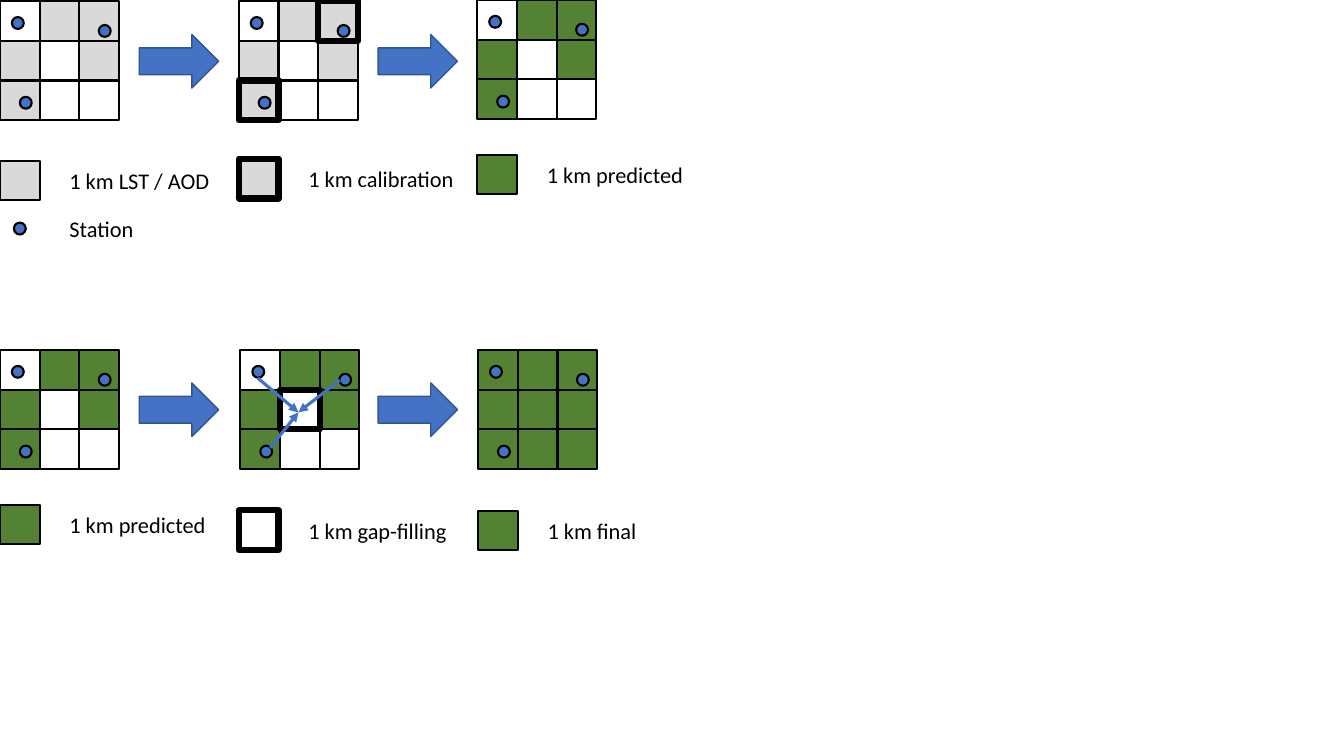
import dataclasses

import lxml.etree
import pptx
import pptx.dml.color
import pptx.enum.shapes
import pptx.enum.text
import pptx.oxml.ns
import pptx.util

Cm, Pt = pptx.util.Cm, pptx.util.Pt
SHAPE = pptx.enum.shapes.MSO_SHAPE


@dataclasses.dataclass(frozen=True)
class Theme:
    font: str = "Calibri"
    label_size: float = 16
    black: str = "000000"
    white: str = "FFFFFF"
    grey: str = "D9D9D9"
    green: str = "548235"
    blue: str = "4472C4"
    dark_blue: str = "325491"
    thin: float = 1.5
    thick: float = 4.5
    link: float = 2.25
    arrow: float = 1


THEME = Theme()

# Cell kinds: fill and border width
CELLS = {
    "W": (THEME.white, THEME.thin),    # no data
    "L": (THEME.grey, THEME.thin),     # LST / AOD
    "C": (THEME.grey, THEME.thick),    # calibration
    "P": (THEME.green, THEME.thin),    # predicted
    "G": (THEME.white, THEME.thick),   # gap-filling
}

# Sizes and offsets in centimetres
CELL = 1.0
STATION = 0.3
STATIONS = [(0.3, 0.4), (2.49, 0.6), (0.5, 2.41)]
LINK_STARTS = [(0.44, 0.71), (2.5, 0.76), (0.75, 2.46)]
LINK_END = (1.46, 1.57)
ARROW_LEFTS = (3.51, 9.53)
ARROW_WIDTH, ARROW_HEIGHT = 2.0, 1.35
LABEL_OFFSET, LABEL_HEIGHT = 1.5, 0.94


def rgb(code):
    return pptx.dml.color.RGBColor.from_string(code)


def add_block(stage, kind, box, fill, border, border_width):
    block = stage.add_shape(kind, *map(Cm, box))
    block.shadow.inherit = False
    block.fill.solid()
    block.fill.fore_color.rgb = rgb(fill)
    block.line.color.rgb = rgb(border)
    block.line.width = Pt(border_width)


def add_cell(stage, left, top, code):
    fill, border_width = CELLS[code]
    add_block(stage, SHAPE.RECTANGLE, (left, top, CELL, CELL), fill, THEME.black, border_width)


def add_station(stage, left, top):
    add_block(stage, SHAPE.OVAL, (left, top, STATION, STATION),
              THEME.blue, THEME.black, THEME.thin)


def add_grid(stage, left, top, pattern):
    """3 x 3 cells, thick-bordered ones above the rest, then the stations."""
    cells = [(code, row, column) for row, codes in enumerate(pattern.split())
             for column, code in enumerate(codes)]
    for code, row, column in sorted(cells, key=lambda cell: CELLS[cell[0]][1]):
        add_cell(stage, left + column * CELL, top + row * CELL, code)
    for dx, dy in STATIONS:
        add_station(stage, left + dx, top + dy)


def add_label(stage, left, middle, width, wording):
    label = stage.add_textbox(Cm(left), Cm(middle - LABEL_HEIGHT / 2),
                              Cm(width), Cm(LABEL_HEIGHT))
    frame = label.text_frame
    frame.text = wording
    frame.word_wrap = False
    frame.auto_size = pptx.enum.text.MSO_AUTO_SIZE.SHAPE_TO_FIT_TEXT
    frame.vertical_anchor = pptx.enum.text.MSO_ANCHOR.MIDDLE
    font = frame.paragraphs[0].runs[0].font
    font.name, font.size = THEME.font, Pt(THEME.label_size)
    font.color.rgb = rgb(THEME.black)


def add_legend(stage, left, top, code, wording, width):
    add_cell(stage, left, top, code)
    add_label(stage, left + LABEL_OFFSET, top + CELL / 2, width, wording)


def add_station_legend(stage, left, top):
    inset = (CELL - STATION) / 2
    add_station(stage, left + inset, top + inset)
    add_label(stage, left + LABEL_OFFSET, top + CELL / 2, 2.16, "Station")


def add_links(stage, left, top):
    """Arrows from each station to the gap in the middle of the grid."""
    for dx, dy in LINK_STARTS:
        link = stage.add_connector(
            pptx.enum.shapes.MSO_CONNECTOR.STRAIGHT, Cm(left + dx), Cm(top + dy),
            Cm(left + LINK_END[0]), Cm(top + LINK_END[1]))
        link.line.color.rgb = rgb(THEME.blue)
        link.line.width = Pt(THEME.link)
        qn = pptx.oxml.ns.qn
        properties = link._element.spPr
        lxml.etree.SubElement(properties.find(qn("a:ln")), qn("a:tailEnd"), type="triangle")
        lxml.etree.SubElement(properties, qn("a:effectLst"))


def add_process(slide, top, panels, arrow_top):
    """One row of three panels joined by block arrows; returns its group."""
    stage = slide.shapes.add_group_shape().shapes
    for (grid_left, grid_dy, pattern), legend in panels:
        add_grid(stage, grid_left, top + grid_dy, pattern)
        legend_left, legend_dy, code, wording, width = legend
        add_legend(stage, legend_left, top + legend_dy, code, wording, width)
    for left in ARROW_LEFTS:
        add_block(stage, SHAPE.RIGHT_ARROW,
                  (left, top + arrow_top, ARROW_WIDTH, ARROW_HEIGHT),
                  THEME.blue, THEME.dark_blue, THEME.arrow)
    return stage


presentation = pptx.Presentation()
presentation.slide_width, presentation.slide_height = Cm(33.87), Cm(19.05)
slide = presentation.slides.add_slide(presentation.slide_layouts[6])

PREDICTED = "WPP PWP PWW"

# Calibration and prediction
prediction = add_process(slide, 0, [
    ((0, 0.03, "WLL LWL LWW"), (0, 4.05, "L", "1 km LST / AOD", 4.09)),
    ((6.02, 0.03, "WLC LWL CWW"), (6.02, 4.0, "C", "1 km calibration", 4.29)),
    ((12.03, 0, PREDICTED), (12.03, 3.9, "P", "1 km predicted", 3.99)),
], arrow_top=0.87)
add_station_legend(prediction, 0, 5.26)

# Gap-filling
GAP_TOP = 8.82
gap_filling = add_process(slide, GAP_TOP, [
    ((0, 0, PREDICTED), (0, 3.9, "P", "1 km predicted", 3.99)),
    ((6.06, 0, "WPP PGP PWW"), (6.02, 4.04, "G", "1 km gap-filling", 4.04)),
    ((12.05, 0, "PPP PPP PPP"), (12.05, 4.05, "P", "1 km final", 2.77)),
], arrow_top=0.83)
add_links(gap_filling, 6.06, GAP_TOP)

presentation.save("out.pptx")
